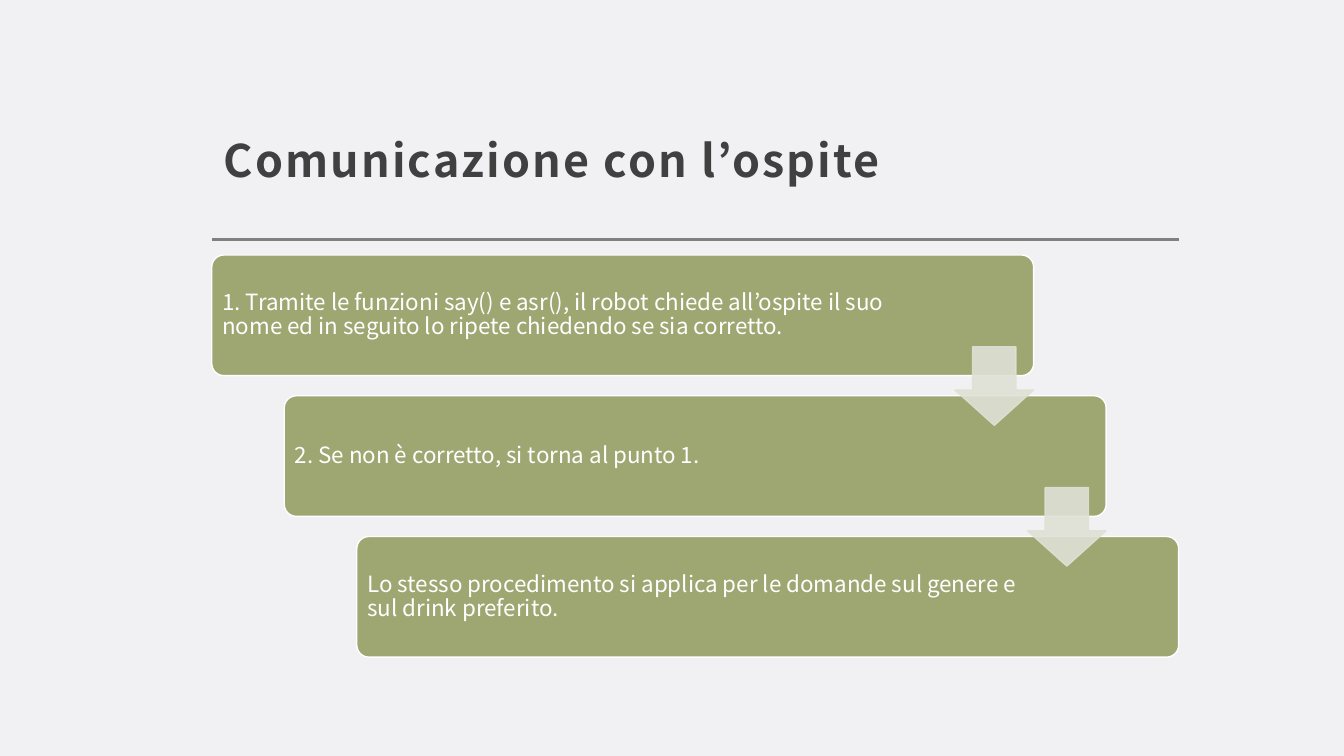
from lxml import etree
from pptx import Presentation
from pptx.dml.color import RGBColor
from pptx.enum.shapes import MSO_CONNECTOR, MSO_SHAPE
from pptx.enum.text import MSO_ANCHOR
from pptx.oxml.ns import qn
from pptx.util import Inches, Pt

FONT = "Noto Sans CJK JP"
STEPS = [
    ("1. Tramite le funzioni say() e asr(), il robot chiede all’ospite il suo "
     "nome ed in seguito lo ripete chiedendo se sia corretto.", 6.86),
    ("2. Se non è corretto, si torna al punto 1.", 6.58),
    ("Lo stesso procedimento si applica per le domande sul genere e "
     "sul drink preferito.", 6.58),
]


def rgb(value):
    """Turn a hex string into a colour."""
    return RGBColor.from_string(value)


def add_text(s, box, text, size, color, anchor, insets, spacing):
    """Add a wrapped one-paragraph text box and return its run."""
    tf = s.shapes.add_textbox(*map(Inches, box)).text_frame
    tf.word_wrap = True
    tf.vertical_anchor = anchor
    tf.margin_left, tf.margin_top, tf.margin_right, tf.margin_bottom = map(Inches, insets)
    tf.text = text
    p = tf.paragraphs[0]
    p.line_spacing = spacing
    r = p.runs[0]
    r.font.name, r.font.size = FONT, Pt(size)
    r.font.color.rgb = rgb(color)
    etree.SubElement(r.font._element, qn("a:ea")).set("typeface", FONT)
    return r


def add_panel(s, kind, box, fill, line, adjustments):
    """Add a filled and outlined preset shape."""
    sp = s.shapes.add_shape(kind, *map(Inches, box))
    sp.shadow.inherit = False
    sp.fill.solid()
    sp.fill.fore_color.rgb = rgb(fill)
    sp.line.color.rgb = rgb(line)
    sp.line.width = Pt(1)
    for i, value in enumerate(adjustments):
        sp.adjustments[i] = value
    return sp


def add_header(s, left, top, width, height):
    """Place the title and the rule below it."""
    r = add_text(s, (left, top, width, 1.47), "Comunicazione con l’ospite", 32,
                 "404040", MSO_ANCHOR.BOTTOM, (0.12, 0.12, 0.12, 0.1), 1.3)
    r.font.bold = True
    r.font._element.set("spc", "150")
    y = Inches(top + height)
    cx = s.shapes.add_connector(MSO_CONNECTOR.STRAIGHT, Inches(left), y,
                                Inches(left + width), y)
    cx.line.color.rgb = rgb("808080")
    cx.line.width = Pt(2)
    etree.SubElement(cx._element.spPr, qn("a:effectLst"))


def add_arrow(s, left, top, size):
    """Place a translucent arrow pointing to the next step."""
    sp = add_panel(s, MSO_SHAPE.DOWN_ARROW, (left, top, size, size),
                   "DFE1D5", "DFE1D5", (0.55, 0.45))
    for clr in sp._element.spPr.iter(qn("a:srgbClr")):
        etree.SubElement(clr, qn("a:alpha")).set("val", "90000")


def add_staircase(s, left, top, width, height):
    """Place the steps as a descending staircase joined by arrows."""
    step_w, step_h, arrow, pad = width * 0.85, height * 0.3, 0.78, 0.035
    dx = (width - step_w) / (len(STEPS) - 1)
    dy = (height - step_h) / (len(STEPS) - 1)
    for i, (text, text_w) in enumerate(STEPS):
        x, y = left + i * dx, top + i * dy
        add_panel(s, MSO_SHAPE.ROUNDED_RECTANGLE, (x, y, step_w, step_h),
                  "9EA671", "FFFFFF", (0.1,))
        add_text(s, (x + pad, y + pad, text_w, step_h - 2 * pad), text, 16,
                 "FFFFFF", MSO_ANCHOR.MIDDLE, (0.07,) * 4, 0.9)
    for i in range(len(STEPS) - 1):
        add_arrow(s, left + i * dx + step_w - arrow, top + i * dy + 0.91, arrow)


def main():
    """Build the slide and save it."""
    prs = Presentation()
    prs.slide_width, prs.slide_height = Inches(13.33), Inches(7.5)
    s = prs.slides.add_slide(prs.slide_layouts[6])
    s.background.fill.solid()
    s.background.fill.fore_color.rgb = rgb("F1F0F3")
    add_header(s, 2.1, 0.48, 9.59, 1.9)
    add_staircase(s, 2.1, 2.53, 9.59, 3.99)
    prs.save("out.pptx")


if __name__ == "__main__":
    main()
